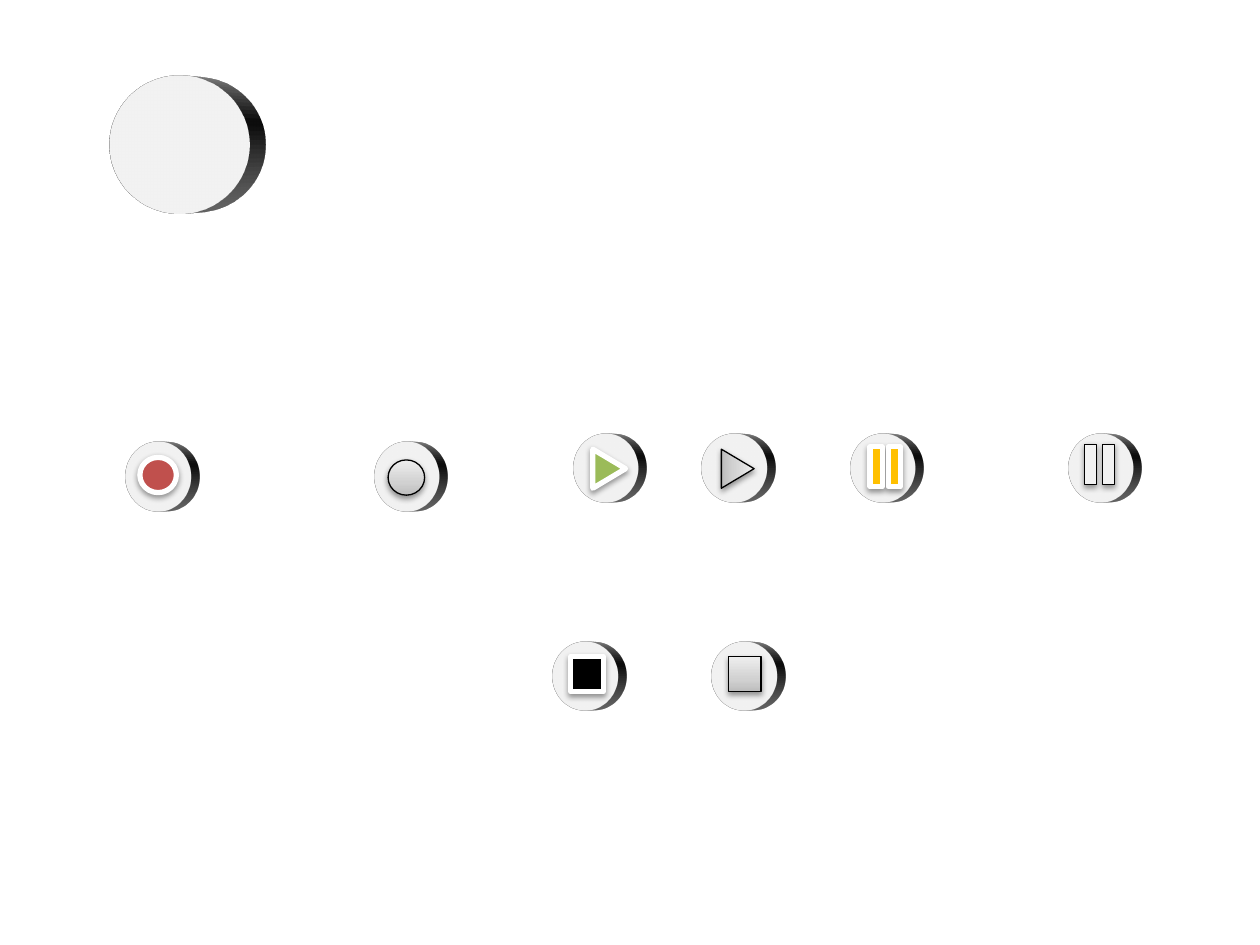
import pptx
import pptx.util
import pptx.oxml
import pptx.oxml.ns
from pptx.dml.color import RGBColor
from pptx.enum.shapes import MSO_SHAPE
from pptx.util import Inches

GREY = RGBColor(0xBF, 0xBF, 0xBF)
PALE = RGBColor(0xF2, 0xF2, 0xF2)
RED = RGBColor(0xC0, 0x50, 0x4D)
GREEN = RGBColor(0x9B, 0xBB, 0x59)
AMBER = RGBColor(0xFF, 0xC0, 0x00)
BLACK = RGBColor(0, 0, 0)
WHITE = RGBColor(0xFF, 0xFF, 0xFF)
SILVER = [(0, RGBColor(0xBD, 0xBD, 0xBD)), (35, RGBColor(0xD1, 0xD1, 0xD1)),
          (100, RGBColor(0xEE, 0xEE, 0xEE))]

NS = pptx.oxml.ns.nsdecls("a")
SHADOW = (f'<a:outerShdw {NS} blurRad="40000" dist="20000" dir="5400000" rotWithShape="0">'
          '<a:srgbClr val="000000"><a:alpha val="38000"/></a:srgbClr></a:outerShdw>')
SCENE = (f'<a:scene3d {NS}><a:camera prst="perspectiveLeft"/>'
         '<a:lightRig rig="threePt" dir="t"/></a:scene3d>')


def add_shape(kind, left, top, width, height, fill, line, weight):
    """Add a shape with a plain colour or a list of gradient stops as fill."""
    s = slide.shapes.add_shape(kind, Inches(left), Inches(top), Inches(width), Inches(height))
    s.shadow.inherit = False
    if isinstance(fill, list):
        s.fill.gradient()
        s.fill.gradient_angle = 90
        stops = s._element.spPr.find(".//" + pptx.oxml.ns.qn("a:gsLst"))
        stops.clear()
        for place, color in fill:
            stops.append(pptx.oxml.parse_xml(
                f'<a:gs {NS} pos="{place * 1000}"><a:srgbClr val="{color}"/></a:gs>'))
    else:
        s.fill.solid()
        s.fill.fore_color.rgb = fill
    s.line.color.rgb = line
    s.line.width = pptx.util.Pt(weight)
    return s


prs = pptx.Presentation()
prs.slide_width, prs.slide_height = Inches(10), Inches(7.5)
slide = prs.slides.add_slide(prs.slide_layouts[6])

# Raised buttons: left, top, width, height, depth
SIZE = 0.55
buttons = [(0.83, 0.6, 1.18, 1.1, 0.42)]
for top, lefts in ((3.51, (0.98, 2.95)), (3.44, (4.53, 5.55, 6.73, 8.46)), (5.09, (4.37, 5.63))):
    buttons += [(left, top, SIZE, SIZE, 0.21) for left in lefts]

for left, top, width, height, depth in buttons:
    s = add_shape(MSO_SHAPE.OVAL, left, top, width, height, GREY, GREY, 2)
    s._element.spPr.append(pptx.oxml.parse_xml(SCENE))
    s._element.spPr.append(pptx.oxml.parse_xml(f'<a:sp3d {NS} extrusionH="{Inches(depth)}"/>'))

# Symbols: size and rotation by kind, then one active and one inactive of each
record = (MSO_SHAPE.OVAL, 0.29, 0.28, 0)
play = (MSO_SHAPE.ISOSCELES_TRIANGLE, 0.31, 0.26, 90)
pause = (MSO_SHAPE.MATH_EQUAL, 0.43, 0.41, 90)
stop = (MSO_SHAPE.RECTANGLE, 0.26, 0.28, 0)
symbols = [
    (record, 1.11, 3.63, RED, True), (record, 3.08, 3.65, SILVER, False),
    (play, 4.68, 3.59, GREEN, True), (play, 5.7, 3.59, SILVER, False),
    (pause, 6.81, 3.5, AMBER, True), (pause, 8.51, 3.48, PALE, False),
    (stop, 4.53, 5.21, BLACK, True), (stop, 5.78, 5.21, SILVER, False),
]
for (kind, width, height, rotation), left, top, fill, active in symbols:
    line, weight = (WHITE, 3) if active else (BLACK, 0.75)
    s = add_shape(kind, left, top, width, height, fill, line, weight)
    s.rotation = rotation
    effects = s._element.spPr.find(pptx.oxml.ns.qn("a:effectLst"))
    effects.append(pptx.oxml.parse_xml(SHADOW))
    if active:
        s.line._get_or_add_ln().append(pptx.oxml.parse_xml(f'<a:round {NS}/>'))

prs.save("out.pptx")
